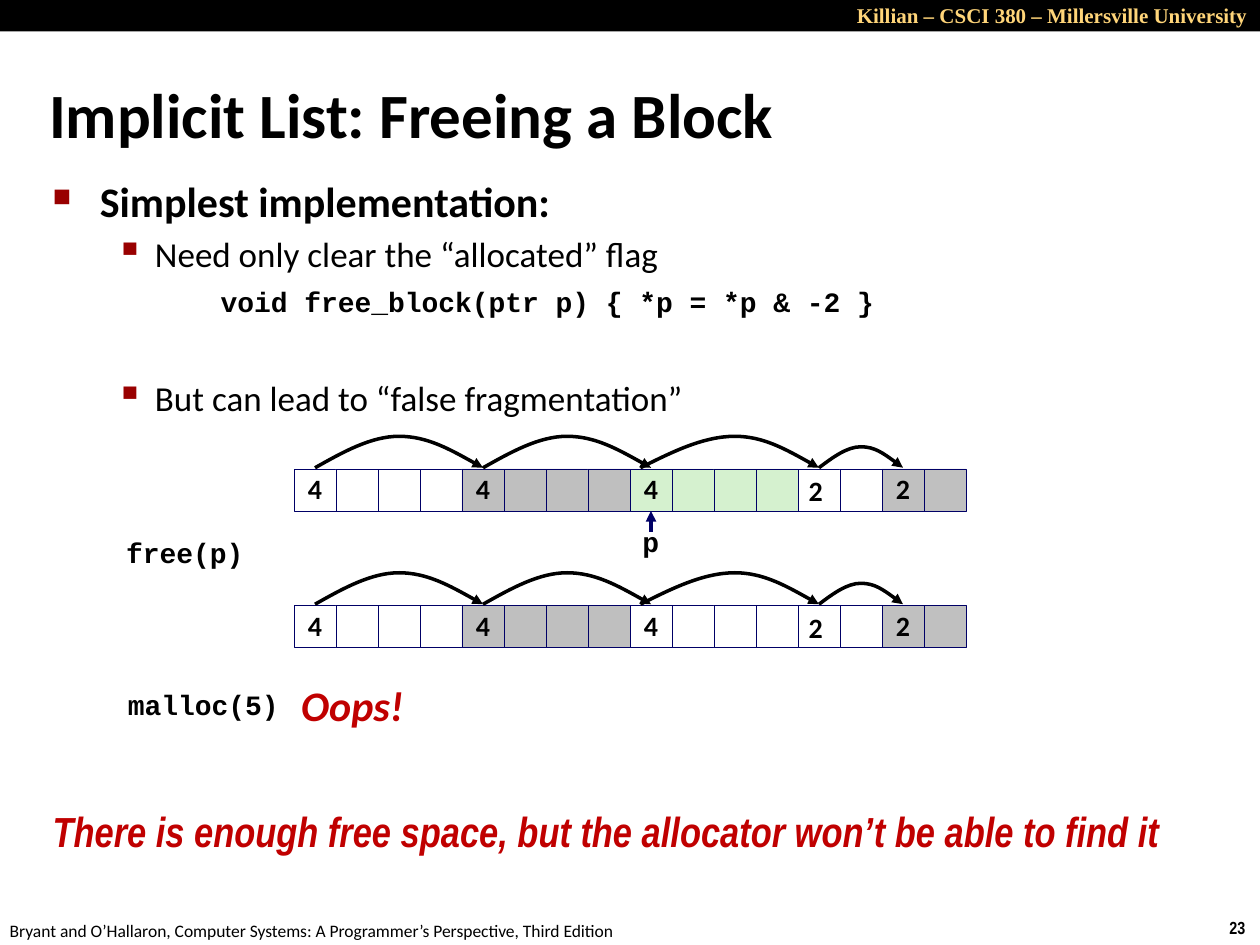
from dataclasses import dataclass

from lxml.etree import SubElement
from pptx import Presentation
from pptx.dml.color import RGBColor
from pptx.enum.shapes import MSO_CONNECTOR as Connector, MSO_SHAPE as Preset
from pptx.enum.text import MSO_ANCHOR as Anchor, MSO_AUTO_SIZE as AutoSize, PP_ALIGN as Align
from pptx.oxml.ns import qn
from pptx.util import Pt


@dataclass(frozen=True)
class Theme:
    black: str = "000000"
    white: str = "FFFFFF"
    gold: str = "FFD579"
    navy: str = "000066"
    bullet: str = "990000"
    alert: str = "C00000"
    used: str = "BFBFBF"
    used_last: str = "C0C0C0"
    target: str = "D5F1CF"
    body_font: str = "Calibri"
    code_font: str = "Courier New"
    header_font: str = "Times New Roman"
    narrow_font: str = "Arial Narrow"
    title_size: int = 36
    heading_size: int = 24
    item_size: int = 20
    code_size: int = 16
    header_size: int = 12
    footer_size: int = 10


class SlideBuilder:
    """Draw styled elements on the current slide, with lengths in points."""

    def __init__(self, slide, theme):
        self.slide = slide
        self.shapes = slide.shapes
        self.theme = theme

    def add_span(self, para, text, font=None, size=None, color=None, **formats):
        span = para.add_run()
        span.text = text
        values = {"name": font or self.theme.body_font,
                  "size": Pt(size or self.theme.code_size), **formats}
        for name, value in values.items():
            setattr(span.font, name, value)
        span.font.color.rgb = RGBColor.from_string(color or self.theme.black)

    def frame(self, left, top, width, height, **formats):
        box = self.shapes.add_textbox(Pt(left), Pt(top), Pt(width), Pt(height))
        for name, value in {"word_wrap": False, **formats}.items():
            setattr(box.text_frame, name, value)
        return box.text_frame

    def label(self, place, text, spacing=None, align=None, wrap=False, **formats):
        frame = self.frame(*place, word_wrap=wrap, auto_size=AutoSize.SHAPE_TO_FIT_TEXT)
        para = frame.paragraphs[0]
        para.line_spacing, para.alignment = spacing, align
        self.add_span(para, text, **formats)

    def item(self, para, text, margin, hang, before, bullet=None, percent=100, **formats):
        para.space_before = Pt(before)
        properties = para._p.get_or_add_pPr()
        properties.set("marL", str(Pt(margin)))
        properties.set("indent", str(Pt(-hang)))
        if bullet:
            color = SubElement(properties, qn("a:buClr"))
            SubElement(color, qn("a:srgbClr"), val=self.theme.bullet)
            SubElement(properties, qn("a:buSzPct"), val=str(percent * 1000))
            SubElement(properties, qn("a:buChar"), char=bullet)
        self.add_span(para, text, **formats)

    def rectangle(self, left, top, width, height, fill, border=None):
        box = self.shapes.add_shape(Preset.RECTANGLE, Pt(left), Pt(top), Pt(width), Pt(height))
        box.shadow.inherit = False
        box.fill.solid()
        box.fill.fore_color.rgb = RGBColor.from_string(fill)
        if border:
            self.stroke(box, border, 0.25)
        else:
            box.line.fill.background()
        return box

    def cell(self, left, top, side, fill, text=""):
        box = self.rectangle(left, top, side, side, fill, self.theme.navy)
        if text:
            frame = box.text_frame
            frame.word_wrap = False
            frame.vertical_anchor = Anchor.MIDDLE
            para = frame.paragraphs[0]
            para.alignment, para.line_spacing = Align.CENTER, 0.98
            self.add_span(para, text, bold=True)
        return box

    def stroke(self, shape, color, width, arrow=False):
        shape.line.color.rgb = RGBColor.from_string(color)
        shape.line.width = Pt(width)
        if arrow:
            line = shape._element.spPr.find(qn("a:ln"))
            SubElement(line, qn("a:tailEnd"), type="triangle")

    def arc(self, start, peak, end, base, rise):
        climb, fall = (peak - start) / 3, (end - peak) / 3
        points = [(start + climb, base - rise / 2), (peak - climb, base - rise),
                  (peak, base - rise), (peak + fall, base - rise),
                  (end - fall, base - rise / 2), (end, base)]
        builder = self.shapes.build_freeform(Pt(start), Pt(base))
        builder.add_line_segments([(Pt(x), Pt(y)) for x, y in points], close=False)
        curve = builder.convert_to_shape()
        curve.shadow.inherit = False
        curve.fill.background()
        self.stroke(curve, self.theme.black, 2, arrow=True)
        segments = list(curve._element.iter(qn("a:lnTo")))
        outline = segments[0].getparent()
        for index in range(0, len(segments), 3):
            bezier = SubElement(outline, qn("a:cubicBezTo"))
            for segment in segments[index:index + 3]:
                bezier.append(segment[0])
                outline.remove(segment)

    def arrow_to(self, box, length):
        middle, bottom = box.left + box.width // 2, box.top + box.height
        arrow = self.shapes.add_connector(
            Connector.STRAIGHT, middle, bottom + Pt(length), middle, bottom)
        arrow.end_connect(box, 2)
        self.stroke(arrow, self.theme.navy, 2, arrow=True)
        SubElement(arrow._element.spPr, qn("a:effectLst"))

    def heap(self, top, blocks, left=168, side=24):
        heads = []
        for size, fill, text in blocks:
            for index in range(size):
                box = self.cell(left, top, side, fill, text if index == 0 else "")
                if index == 0:
                    heads.append(box)
                left += side
        self.label((455, top, 22, 26), "2", 0.98, bold=True)
        for start, peak, end, rise in [(180, 228, 276, 18), (276, 324, 372, 18),
                                       (366, 420, 468, 18), (468, 492, 516, 12)]:
            self.arc(start, peak, end, top - 0.7, rise)
        return heads


def main():
    deck = Presentation()
    deck.slide_width, deck.slide_height = Pt(720), Pt(540)
    theme = Theme()
    page = SlideBuilder(deck.slides.add_slide(deck.slide_layouts[6]), theme)

    page.rectangle(0, 0, 720, 18, theme.black)
    page.label((438, -2, 282, 22), "Killian – CSCI 380 – Millersville University",
               align=Align.RIGHT, wrap=True, font=theme.header_font,
               size=theme.header_size, color=theme.gold, bold=True)
    page.label((695.5, 520.5, 24.5, 19.5), "23", font=theme.narrow_font,
               size=theme.footer_size, bold=True)
    page.label((-1.5, 522, 366, 19.5),
               "Bryant and O’Hallaron, Computer Systems: A Programmer’s Perspective, Third Edition",
               size=theme.footer_size)

    title = page.frame(21, 42, 567, 45, word_wrap=True, vertical_anchor=Anchor.MIDDLE)
    page.add_span(title.paragraphs[0], "Implicit List: Freeing a Block",
                  size=theme.title_size, bold=True)

    body = page.frame(23, 96.5, 654, 342, word_wrap=True)
    heading = {"margin": 27, "hang": 27, "before": 4.8, "bullet": "■", "percent": 60,
               "size": theme.heading_size, "bold": True}
    point = {"margin": 58.5, "hang": 22.5, "before": 4, "bullet": "▪", "percent": 110,
             "size": theme.item_size}
    code = {"font": theme.code_font, "size": theme.code_size, "bold": True}
    items = [
        ("Simplest implementation:", heading),
        ("Need only clear the “allocated” flag", point),
        ("void free_block(ptr p) { *p = *p & -2 }", {"margin": 96, "hang": 0, "before": 5.8, **code}),
        ("But can lead to “false fragmentation”", {**point, "before": 33.3}),
    ]
    for index, (text, formats) in enumerate(items):
        para = body.add_paragraph() if index else body.paragraphs[0]
        page.item(para, text, **formats)

    for top, third_fill in [(268, theme.target), (346, theme.white)]:
        heads = page.heap(top, [(4, theme.white, "4"), (4, theme.used, "4"),
                                (4, third_fill, "4"), (2, theme.white, ""),
                                (2, theme.used_last, "2")])
        if third_fill == theme.target:
            page.arrow_to(heads[2], 12)

    for place, text in [((65, 304, 82, 26), "free(p)"), ((360, 298, 24, 26), "p"),
                        ((66, 391, 101.5, 26), "malloc(5)")]:
        page.label(place, text, 0.94, **code)
    alert = {"size": theme.heading_size, "color": theme.alert, "bold": True, "italic": True}
    page.label((165, 384, 74, 36), "Oops!", 1.02, **alert)
    page.label((23, 457, 657, 58),
               "There is enough free space, but the allocator won’t be able to find it",
               font=theme.narrow_font, **alert)
    deck.save("out.pptx")


if __name__ == "__main__":
    main()
